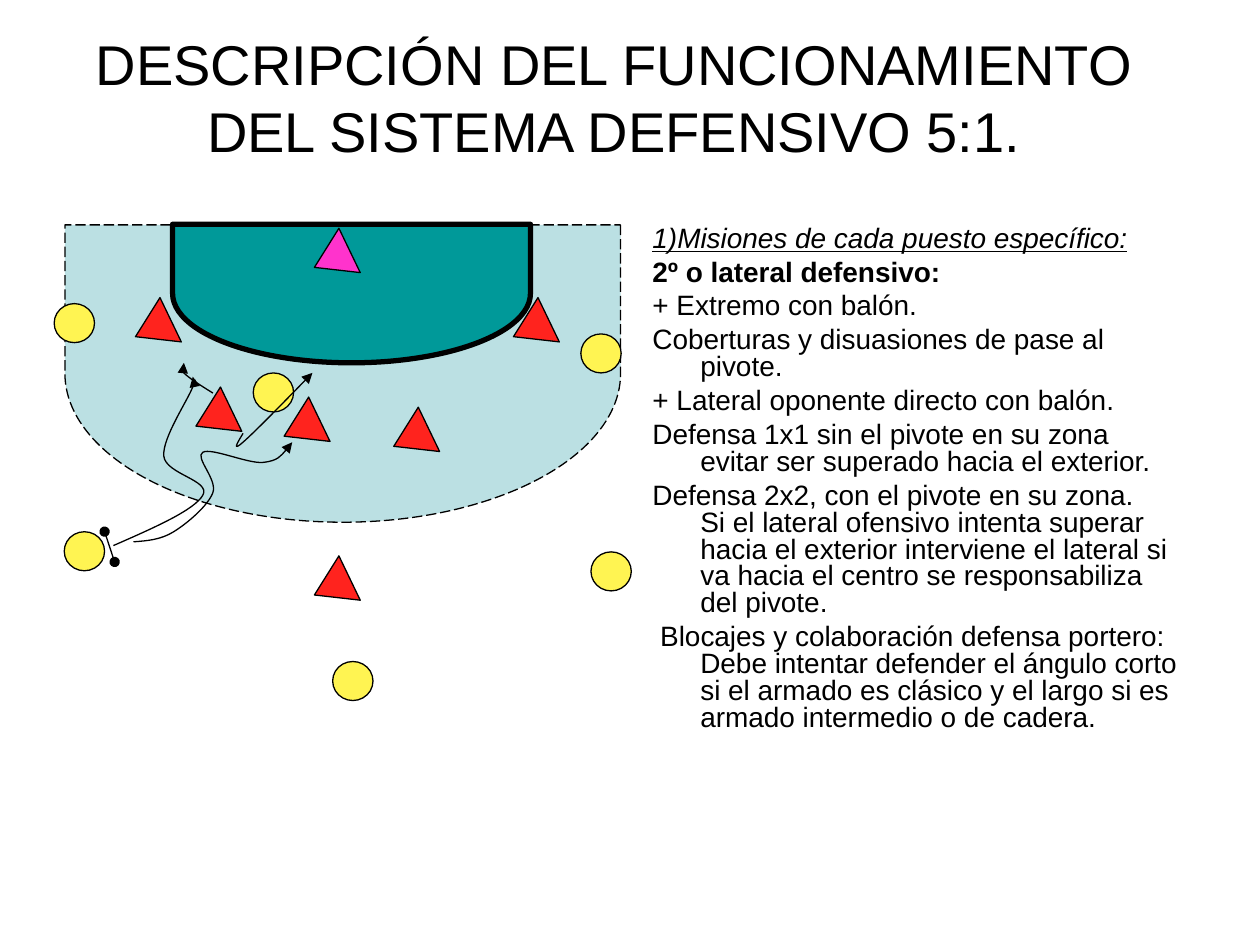
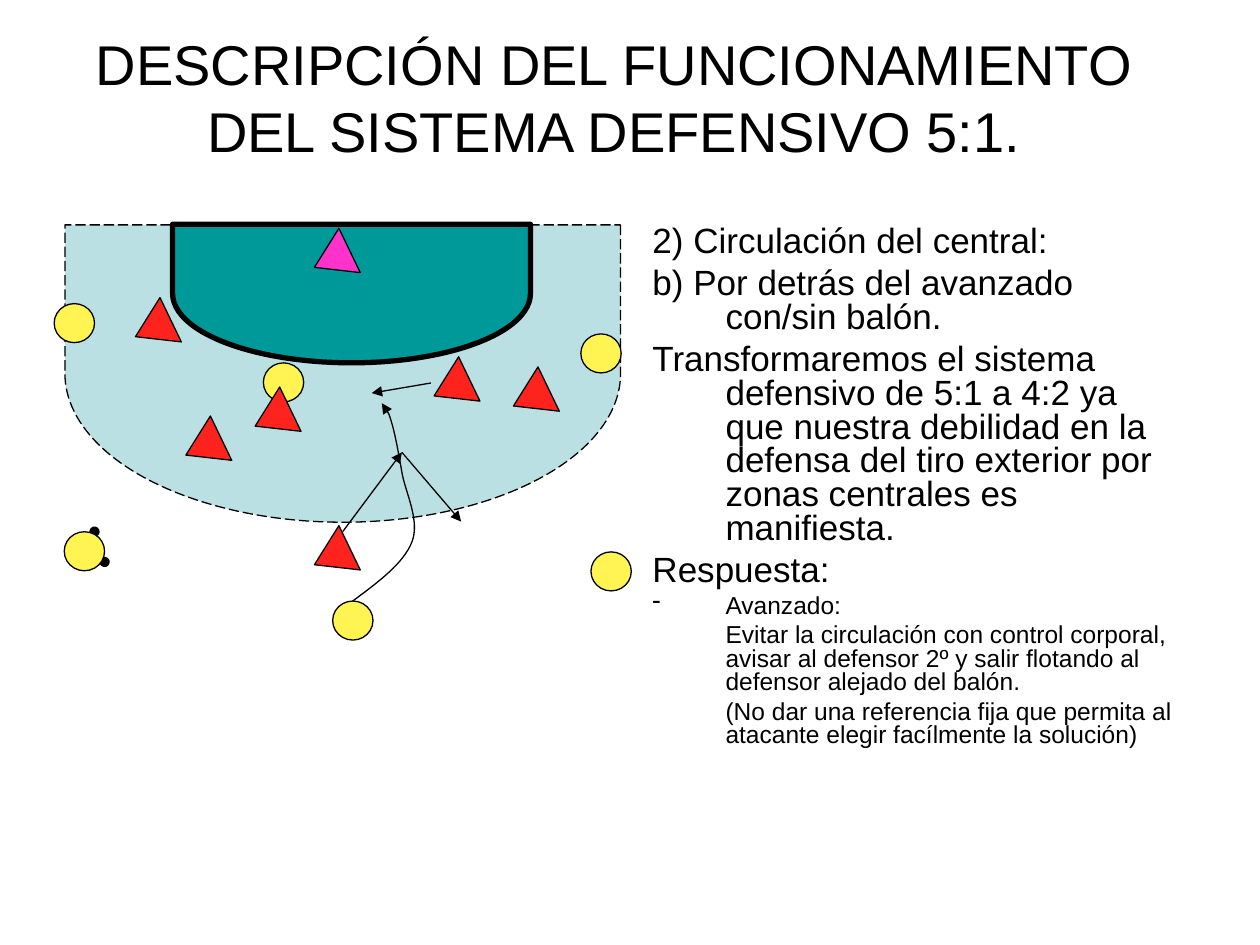
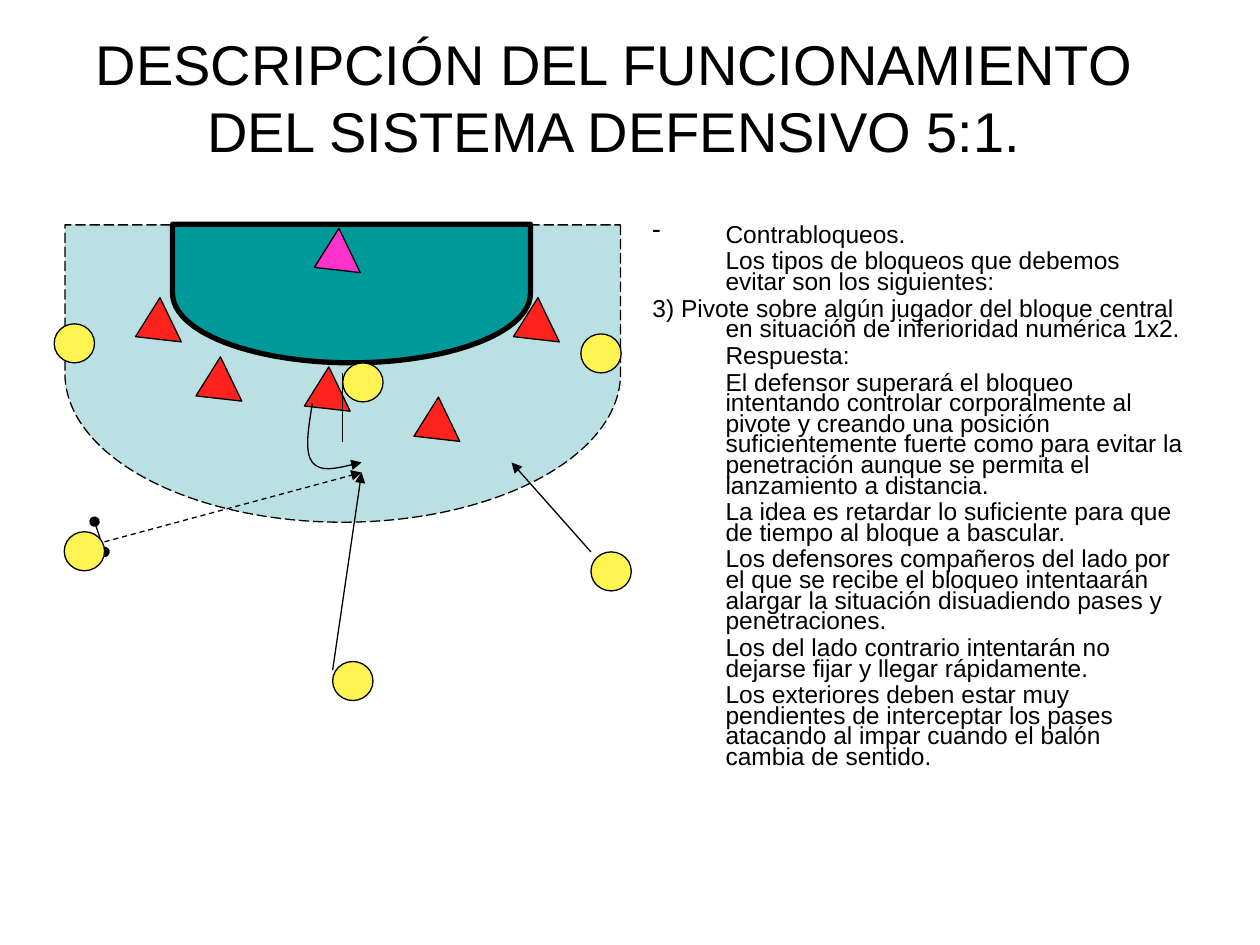
from lxml import etree
from pptx import Presentation
from pptx.dml.color import RGBColor
from pptx.enum import dml, shapes, text
from pptx.oxml.ns import qn
from pptx.util import Inches, Pt

TITLE = "DESCRIPCIÓN DEL FUNCIONAMIENTO DEL SISTEMA DEFENSIVO 5:1."
FONT = "Arial"
TITLE_SIZE, DETAIL_SIZE = 32, 14
BLACK, ZONE, AREA = "000000", "BBE0E3", "009999"
DEFENDER, KEEPER, ATTACKER = "FF231E", "FF33CC", "FFF452"
SHAPE = shapes.MSO_SHAPE
DASH = dml.MSO_LINE_DASH_STYLE

TITLE_BOX = (0.5, 0.3, 8.75, 0.93)
BODY_BOX = (5.08, 1.75, 4.42, 4.95)
ZONE_BOX = (1.54, 0.76, 2.36, 4.41)
AREA_BOX = (2.24, 0.91, 1.1, 2.84)
CIRCLE = (0.32, 0.31)
TRIANGLE = (0.39, 0.31)
TILT = 244.3
BALL_STEP = (0.08, 0.24)

# Places used on more than one slide
KEEPER_AT = (2.44, 1.9)
LEFT_DEFENDER, RIGHT_DEFENDER = (1.02, 2.45), (4.02, 2.45)
RIGHT_BACK = (4.69, 4.38)
FIXED_ATTACKERS = [(0.51, 4.22), (4.61, 2.65), RIGHT_BACK]
LEFT_WING, CENTRE_BACK = (0.43, 2.41), (2.64, 5.25)
CROSSING, SCREEN_EXIT = (3.19, 3.59), (2.87, 3.75)

# Paragraphs: (style, text); "inner" and "dash" are details in small type.
# Moves: the points that a player runs through.
SLIDES = [
    dict(
        size=16, indent=0.38, spacing=0.8,
        body=[
            ("heading", "1)Misiones de cada puesto específico:"),
            ("bold", "2º o lateral defensivo:"),
            ("hang", "+ Extremo con balón."),
            ("hang", "Coberturas y disuasiones de pase al pivote."),
            ("hang", "+ Lateral oponente directo con balón."),
            ("hang", "Defensa 1x1 sin el pivote en su zona evitar ser superado "
             "hacia el exterior."),
            ("hang", "Defensa 2x2, con el pivote en su zona.\vSi el lateral "
             "ofensivo intenta superar hacia el exterior interviene el lateral "
             "si va hacia el centro se responsabiliza del pivote."),
            ("hang", " Blocajes y colaboración defensa portero: Debe intentar "
             "defender el ángulo corto si el armado es clásico y el largo si "
             "es armado intermedio o de cadera."),
        ],
        ball=(0.83, 4.22),
        attackers=[LEFT_WING, (2.01, 2.96), CENTRE_BACK],
        defenders=[(1.5, 3.16), (2.2, 3.24), (2.44, 4.5), (3.07, 3.32),
                   RIGHT_DEFENDER],
        moves=[
            [(0.9, 4.33), (1.61, 3.93), (1.3, 3.62), (1.53, 3.07),
             (1.53, 2.99)],
            [(1.69, 3.12), (1.46, 2.96), (1.46, 2.88)],
            [(1.06, 4.3), (1.38, 4.22), (1.69, 3.91), (1.61, 3.59),
             (2.09, 3.67), (2.32, 3.51)],
            [(1.93, 3.44), (1.93, 3.51), (2.48, 2.96)],
        ],
    ),
    dict(
        size=20, indent=0.58, spacing=0.8,
        body=[
            ("hang", "2) Circulación del central:"),
            ("hang", "b) Por detrás del avanzado con/sin balón."),
            ("hang", "Transformaremos el sistema defensivo de 5:1 a 4:2 ya que "
             "nuestra debilidad en la defensa del tiro exterior por zonas "
             "centrales es manifiesta."),
            ("hang", "Respuesta:"),
            ("dash", "Avanzado:"),
            ("inner", "Evitar la circulación con control corporal, avisar al "
             "defensor 2º y salir flotando al defensor alejado del balón."),
            ("inner", "(No dar una referencia fija que permita al atacante "
             "elegir facílmente la solución)"),
        ],
        ball=(0.75, 4.22),
        attackers=[LEFT_WING, (2.09, 2.88), (2.64, 4.77)],
        defenders=[(1.42, 3.39), (1.97, 3.16), (2.44, 4.26), (3.39, 2.92),
                   (4.02, 3)],
        moves=[
            [(2.8, 4.77), (3.27, 4.3), (3.19, 3.75), (3.11, 3.36),
             (3.03, 3.2)],
            [(2.72, 4.22), CROSSING],
            [(3.42, 3.04), (2.95, 3.12)],
            [CROSSING, (3.66, 4.14)],
        ],
    ),
    dict(
        size=DETAIL_SIZE, indent=0.58, spacing=0.7,
        body=[
            ("dash", "Contrabloqueos."),
            ("inner", "Los tipos de bloqueos que debemos evitar son los "
             "siguientes:"),
            ("hang", "3) Pivote sobre algún jugador del bloque central en "
             "situación de inferioridad numérica 1x2."),
            ("inner", "Respuesta:"),
            ("inner", "El defensor superará el bloqueo intentando controlar "
             "corporalmente al pivote y creando una posición suficientemente "
             "fuerte como para evitar la penetración aunque se permita el "
             "lanzamiento a distancia."),
            ("inner", "La idea es retardar lo suficiente para que de tiempo al "
             "bloque a bascular."),
            ("inner", "Los defensores compañeros del lado por el que se recibe "
             "el bloqueo intentaarán alargar la situación disuadiendo pases y "
             "penetraciones."),
            ("inner", "Los del lado contrario intentarán no dejarse fijar y "
             "llegar rápidamente."),
            ("inner", "Los exteriores deben estar muy pendientes de "
             "interceptar los pases atacando al impar cuando el balón cambia "
             "de sentido."),
        ],
        ball=(0.75, 4.14),
        attackers=[(0.43, 2.57), (2.72, 2.88), CENTRE_BACK],
        defenders=[(1.5, 2.92), (2.36, 3), (3.23, 3.24), RIGHT_DEFENDER],
        passes=[[(0.83, 4.3), SCREEN_EXIT]],
        screens=[[(2.72, 2.96), (2.72, 3.51)]],
        moves=[
            [RIGHT_BACK, (4.06, 3.67)],
            [(2.64, 5.32), SCREEN_EXIT],
            [(2.48, 3.2), (2.48, 3.67), (2.87, 3.67)],
        ],
    ),
]


def rgb(value):
    return RGBColor.from_string(value)


def inches(values):
    return [Inches(v) for v in values]


def set_line(sp, width=0.75, dash=None, **ends):
    """Style an outline; ends maps headEnd or tailEnd to an arrowhead type."""
    sp.line.color.rgb = rgb(BLACK)
    sp.line.width = Pt(width)
    if dash:
        sp.line.dash_style = dash
    ln = sp._element.spPr.find(qn("a:ln"))
    for end, kind in ends.items():
        etree.SubElement(ln, qn("a:" + end), type=kind)


def add_figure(s, kind, box, fill, rotation=0, **line):
    sp = s.shapes.add_shape(kind, *inches(box))
    sp.rotation = rotation
    sp.shadow.inherit = False
    sp.fill.solid()
    sp.fill.fore_color.rgb = rgb(fill)
    set_line(sp, **line)


def add_straight(s, points, **line):
    start, end = points
    sp = s.shapes.add_connector(shapes.MSO_CONNECTOR.STRAIGHT,
                                *inches(start + end))
    set_line(sp, **line)
    etree.SubElement(sp._element.spPr, qn("a:effectLst"))


def midpoint(a, b):
    return tuple((u + v) / 2 for u, v in zip(a, b))


def smooth(knots):
    """Return Bézier triples for a Catmull-Rom curve through the knots."""
    handles = []
    for before, knot, after in zip(knots, knots[1:], knots[2:]):
        pull = [(b - a) / 6 for a, b in zip(before, after)]
        handles.append((tuple(k - d for k, d in zip(knot, pull)),
                        tuple(k + d for k, d in zip(knot, pull))))
    first = midpoint(knots[0], handles[0][0])
    last = midpoint(handles[-1][1], knots[-1])
    points = [first]
    for knot, (arriving, leaving) in zip(knots[1:], handles):
        points += [arriving, knot, leaving]
    return points + [last, knots[-1]]


def add_curve(s, knots, **line):
    builder = s.shapes.build_freeform(*inches(knots[0]))
    builder.add_line_segments([inches(pt) for pt in smooth(knots)],
                              close=False)
    sp = builder.convert_to_shape()
    path = next(sp._element.iter(qn("a:path")))
    segments = path.findall(qn("a:lnTo"))
    for i in range(0, len(segments), 3):
        curve = etree.SubElement(path, qn("a:cubicBezTo"))
        for segment in segments[i:i + 3]:
            curve.append(segment[0])
            path.remove(segment)
    sp.shadow.inherit = False
    sp.fill.background()
    set_line(sp, **line)


def add_text(s, box):
    tf = s.shapes.add_textbox(*inches(box)).text_frame
    tf.word_wrap = True
    return tf


def format_runs(p, size, **flags):
    for r in p.runs:
        r.font.name, r.font.size = FONT, Pt(size)
        r.font.color.rgb = rgb(BLACK)
        for flag, value in flags.items():
            setattr(r.font, flag, value)


def add_title(s):
    tf = add_text(s, TITLE_BOX)
    tf.vertical_anchor = text.MSO_ANCHOR.MIDDLE
    tf.text = TITLE
    p = tf.paragraphs[0]
    p.alignment = text.PP_ALIGN.CENTER
    format_runs(p, TITLE_SIZE)


def add_body(s, data):
    tf = add_text(s, BODY_BOX)
    indent = Inches(data["indent"])
    for i, (style, words) in enumerate(data["body"]):
        size = DETAIL_SIZE if style in ("inner", "dash") else data["size"]
        p = tf.add_paragraph() if i else tf.paragraphs[0]
        p.text = words
        p.line_spacing = data["spacing"]
        p.space_before = Pt(size / 4 if i else 0)
        pPr = p._p.get_or_add_pPr()
        pPr.set("marL", str(indent))
        pPr.set("indent", str(0 if style == "inner" else -indent))
        if style == "dash":
            etree.SubElement(pPr, qn("a:buChar"), char="-")
        heading = style == "heading"
        format_runs(p, size, bold=style == "bold", italic=heading,
                    underline=heading)


def add_diagram(s, data):
    add_figure(s, SHAPE.FLOWCHART_DELAY, ZONE_BOX, ZONE, 90,
               dash=DASH.LONG_DASH)
    add_figure(s, SHAPE.FLOWCHART_DELAY, AREA_BOX, AREA, 90, width=3)
    ball = data["ball"]
    ball_end = tuple(a + b for a, b in zip(ball, BALL_STEP))
    add_straight(s, [ball, ball_end], headEnd="oval", tailEnd="oval")
    for at in FIXED_ATTACKERS + data["attackers"]:
        add_figure(s, SHAPE.OVAL, at + CIRCLE, ATTACKER)
    add_figure(s, SHAPE.ISOSCELES_TRIANGLE, KEEPER_AT + TRIANGLE, KEEPER, TILT)
    for at in [LEFT_DEFENDER] + data["defenders"]:
        add_figure(s, SHAPE.ISOSCELES_TRIANGLE, at + TRIANGLE, DEFENDER, TILT)
    for points in data.get("passes", []):
        add_straight(s, points, dash=DASH.DASH, tailEnd="triangle")
    for points in data.get("screens", []):
        add_straight(s, points)
    for points in data["moves"]:
        draw = add_straight if len(points) == 2 else add_curve
        draw(s, points, tailEnd="triangle")


def main():
    prs = Presentation()
    prs.slide_width, prs.slide_height = Inches(10), Inches(7.5)
    for data in SLIDES:
        s = prs.slides.add_slide(prs.slide_layouts[6])
        add_title(s)
        add_body(s, data)
        add_diagram(s, data)
    prs.save("out.pptx")


if __name__ == "__main__":
    main()
